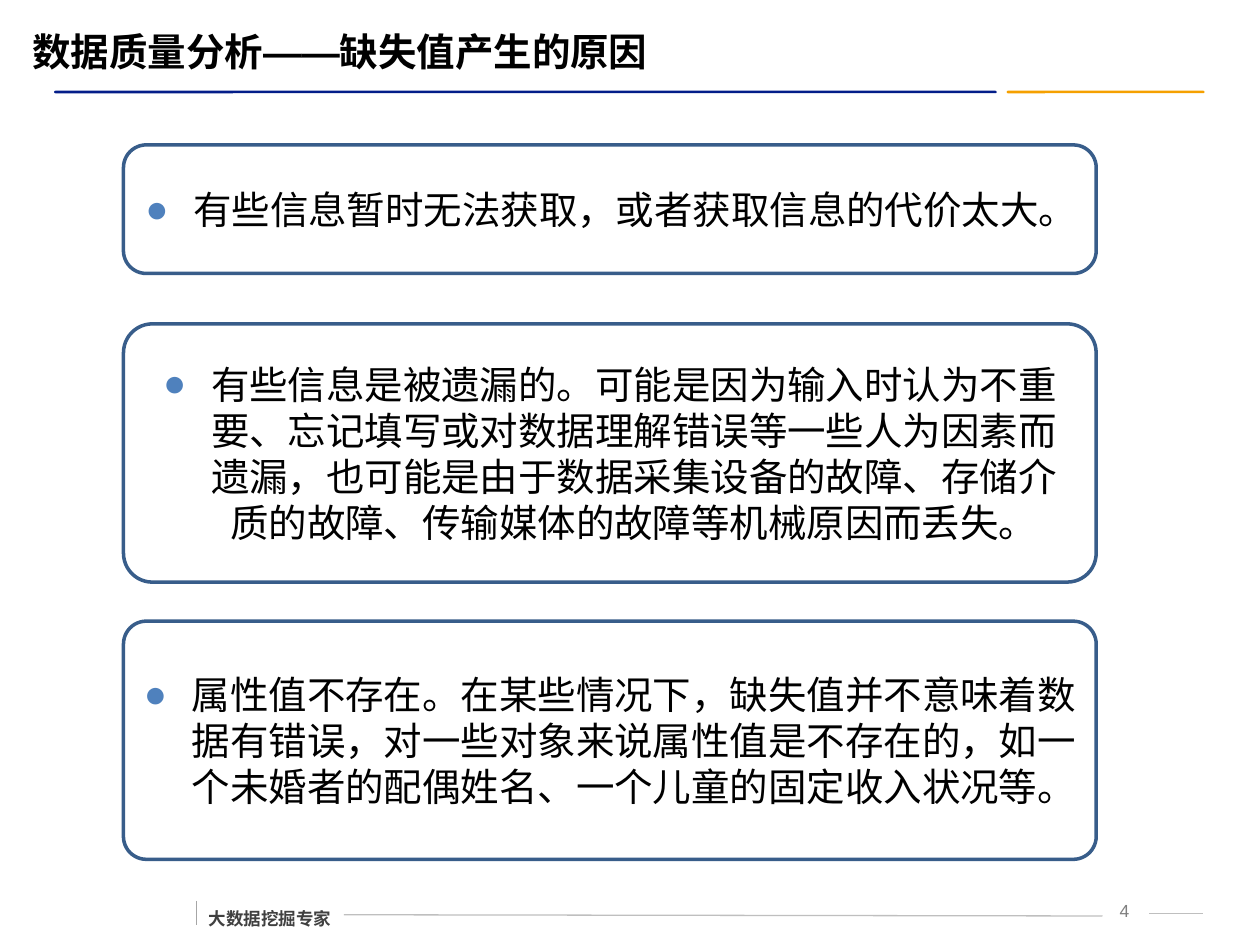
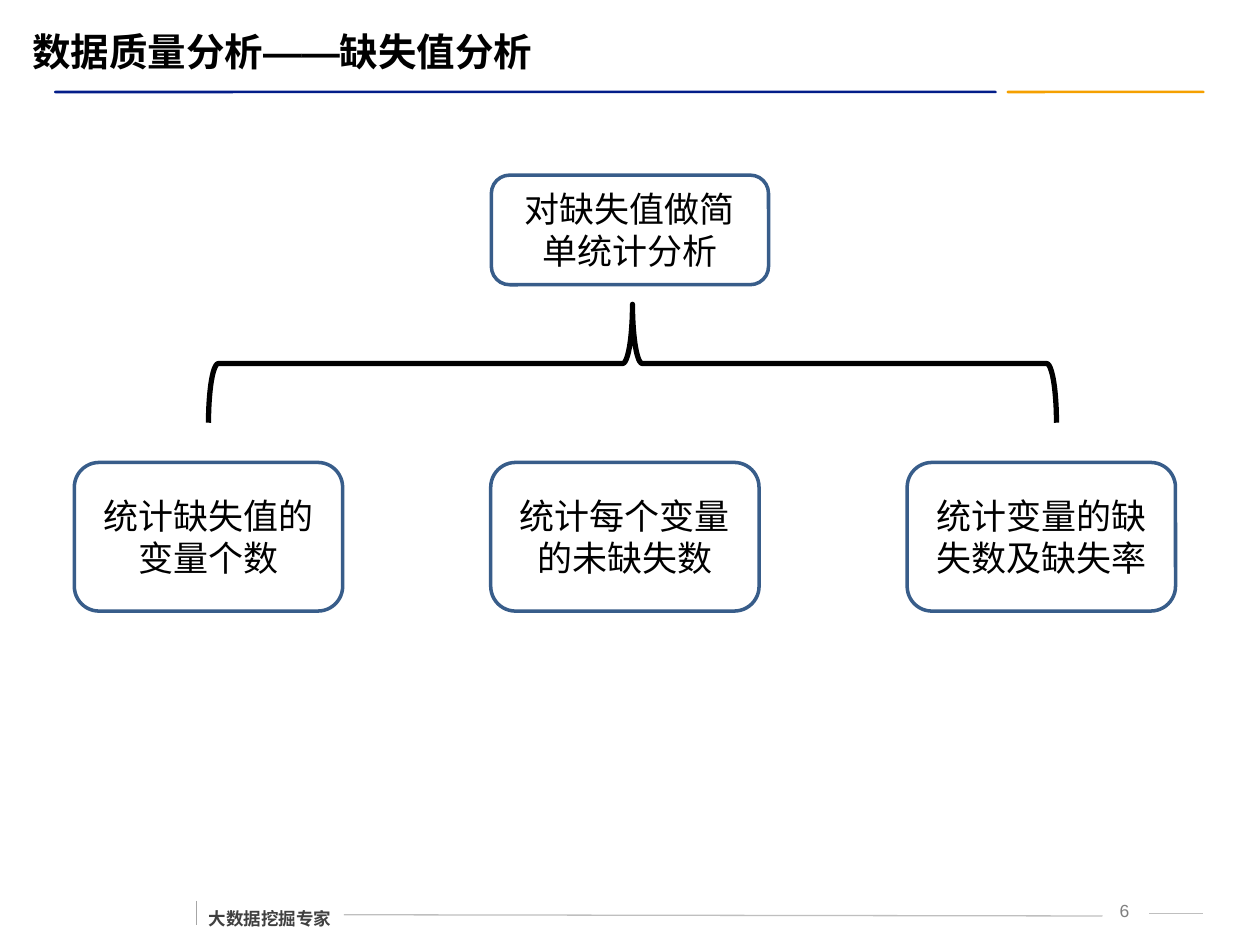
from dataclasses import dataclass

from lxml.etree import SubElement
from pptx import Presentation
from pptx.dml.color import RGBColor
from pptx.enum.shapes import MSO_CONNECTOR as Connector, MSO_SHAPE as Preset
from pptx.enum.text import MSO_ANCHOR as Anchor, PP_ALIGN as Align
from pptx.oxml.ns import qn
from pptx.util import Inches, Pt

COLORS = {
    "navy": "031D89", "orange": "F5A000", "outline": "385D8A",
    "bullet": "4F81BD", "text": "000000", "footer": "404040",
    "number": "7F7F7F", "rule": "BFBFBF", "tick": "A6A6A6",
}
LATIN, CHINESE = "Arial", "Noto Sans CJK SC"
BULLET_INDENT = Inches(0.38)


@dataclass
class Bar:
    left: float
    width: float
    color: str


@dataclass
class Rule:
    start: tuple[float, float]
    end: tuple[float, float]
    color: str


@dataclass
class Card:
    left: float
    top: float
    width: float
    height: float
    text: str
    size: int = 20
    corner: float = 0.167
    align: Align = Align.CENTER
    bulleted: bool = False


# Shared parts of every slide
BARS = [Bar(7.99, 1.57, "orange"), Bar(0.43, 7.48, "navy")]
RULES = [
    Rule((2.73, 7.26), (8.75, 7.27), "rule"),
    Rule((9.12, 7.25), (9.55, 7.25), "rule"),
    Rule((1.56, 7.15), (1.56, 7.34), "tick"),
]


def rgb(name: str) -> RGBColor:
    return RGBColor.from_string(COLORS[name])


def style_text(para, font: str, size: int, color: str, bold: bool = False) -> None:
    for span in para.runs:
        span.font.name = font
        span.font.size = Pt(size)
        span.font.bold = bold
        span.font.color.rgb = rgb(color)
        SubElement(span.font._element, qn("a:ea"), typeface=font)


def add_label(page, area: tuple, text: str, font: str, size: int, color: str,
              bold: bool = False, wrap: bool = True):
    box = page.shapes.add_textbox(*map(Inches, area))
    frame = box.text_frame
    frame.text = text
    frame.word_wrap = wrap
    style_text(frame.paragraphs[0], font, size, color, bold)
    return frame


def add_bullet(para) -> None:
    props = para._p.get_or_add_pPr()
    props.set("marL", str(BULLET_INDENT))
    props.set("indent", str(-BULLET_INDENT))
    tint = SubElement(props, qn("a:buClr"))
    SubElement(tint, qn("a:srgbClr"), val=COLORS["bullet"])
    SubElement(props, qn("a:buFont"), typeface=LATIN)
    SubElement(props, qn("a:buChar"), char="●")


def add_bar(page, bar: Bar) -> None:
    shape = page.shapes.add_shape(Preset.ROUNDED_RECTANGLE, Inches(bar.left), Inches(0.72),
                                  Inches(bar.width), Inches(0.02))
    shape.adjustments[0] = 0.5
    shape.shadow.inherit = False
    shape.fill.solid()
    shape.fill.fore_color.rgb = rgb(bar.color)
    shape.line.fill.background()


def add_rule(page, rule: Rule) -> None:
    line = page.shapes.add_connector(Connector.STRAIGHT, *map(Inches, rule.start + rule.end))
    line.line.color.rgb = rgb(rule.color)
    line.line.width = Pt(0.75)
    SubElement(line._element.spPr, qn("a:effectLst"))


def add_outline(page, preset: Preset, area: tuple, color: str, width: int):
    shape = page.shapes.add_shape(preset, *map(Inches, area))
    shape.shadow.inherit = False
    shape.fill.background()
    shape.line.color.rgb = rgb(color)
    shape.line.width = Pt(width)
    return shape


def add_card(page, card: Card) -> None:
    area = (card.left, card.top, card.width, card.height)
    box = add_outline(page, Preset.ROUNDED_RECTANGLE, area, "outline", 2)
    box.adjustments[0] = card.corner
    frame = box.text_frame
    frame.text = card.text
    frame.word_wrap = True
    frame.vertical_anchor = Anchor.MIDDLE
    para = frame.paragraphs[0]
    para.alignment = card.align
    if card.bulleted:
        add_bullet(para)
    style_text(para, CHINESE, card.size, "text")


def add_page(deck, title: str, number: int):
    page = deck.slides.add_slide(deck.slide_layouts[6])
    for bar in BARS:
        add_bar(page, bar)
    for rule in RULES:
        add_rule(page, rule)
    # Footer and page number
    count = add_label(page, (8.67, 7.09, 0.47, 0.25), f" {number}", LATIN, 10, "number")
    count.paragraphs[0].alignment = Align.CENTER
    footer = add_label(page, (1.56, 7.07, 1.17, 0.35), "大数据挖掘专家", CHINESE, 10,
                       "footer", bold=True, wrap=False)
    footer.paragraphs[0].line_spacing = 1.5
    # Title
    heading = add_label(page, (0.16, 0.17, 9.1, 0.47), f"数据质量分析——{title}", LATIN, 22,
                        "text", bold=True)
    heading.vertical_anchor = Anchor.MIDDLE
    return page


def build_causes(deck) -> None:
    page = add_page(deck, "缺失值产生的原因", 4)
    causes = [
        (1.15, 1.02, 0.177, Align.RIGHT, "有些信息暂时无法获取，或者获取信息的代价太大。"),
        (2.57, 2.05, 0.112, Align.CENTER,
         "有些信息是被遗漏的。可能是因为输入时认为不重要、忘记填写或对数据理解错误等一些人为因素而遗漏，"
         "也可能是由于数据采集设备的故障、存储介质的故障、传输媒体的故障等机械原因而丢失。"),
        (4.93, 1.89, 0.096, Align.CENTER,
         "属性值不存在。在某些情况下，缺失值并不意味着数据有错误，对一些对象来说属性值是不存在的，"
         "如一个未婚者的配偶姓名、一个儿童的固定收入状况等。"),
    ]
    for top, height, corner, align, text in causes:
        add_card(page, Card(0.98, top, 7.72, height, text, 22, corner, align, bulleted=True))


def build_analysis(deck) -> None:
    page = add_page(deck, "缺失值分析", 6)
    add_card(page, Card(3.9, 1.39, 2.2, 0.87, "对缺失值做简单统计分析"))
    # Three statistics, evenly spaced
    statistics = ["统计缺失值的变量个数", "统计每个变量的未缺失数", "统计变量的缺失数及缺失率"]
    for index, text in enumerate(statistics):
        add_card(page, Card(0.59 + 3.305 * index, 3.67, 2.13, 1.18, text))
    # Brace turned to point up at the top card
    brace = add_outline(page, Preset.RIGHT_BRACE, (4.55, -0.48, 0.94, 6.73), "text", 3)
    brace.rotation = 270


def main() -> None:
    deck = Presentation()
    deck.slide_width, deck.slide_height = Inches(10), Inches(7.5)
    build_causes(deck)
    build_analysis(deck)
    deck.save("out.pptx")


if __name__ == "__main__":
    main()
